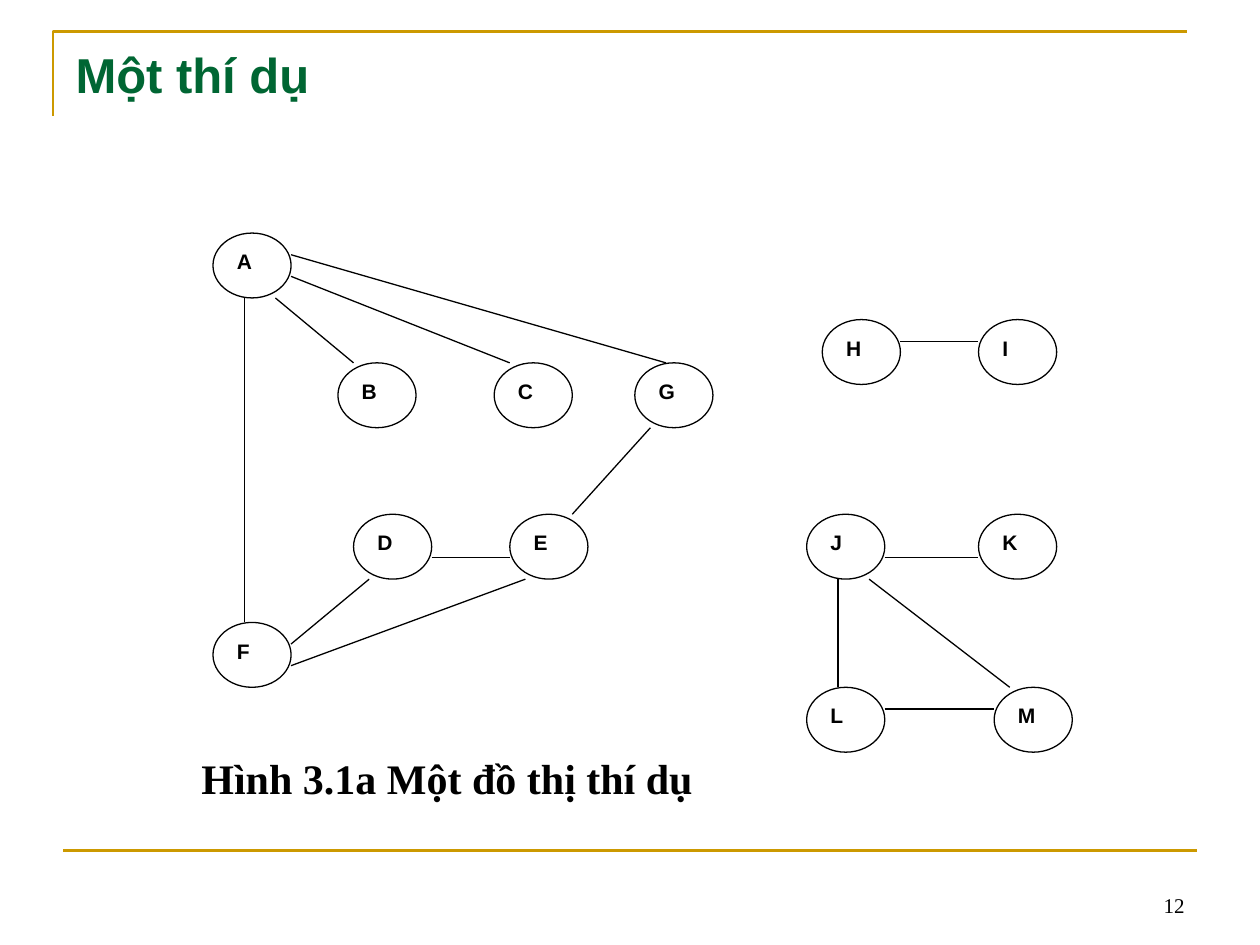
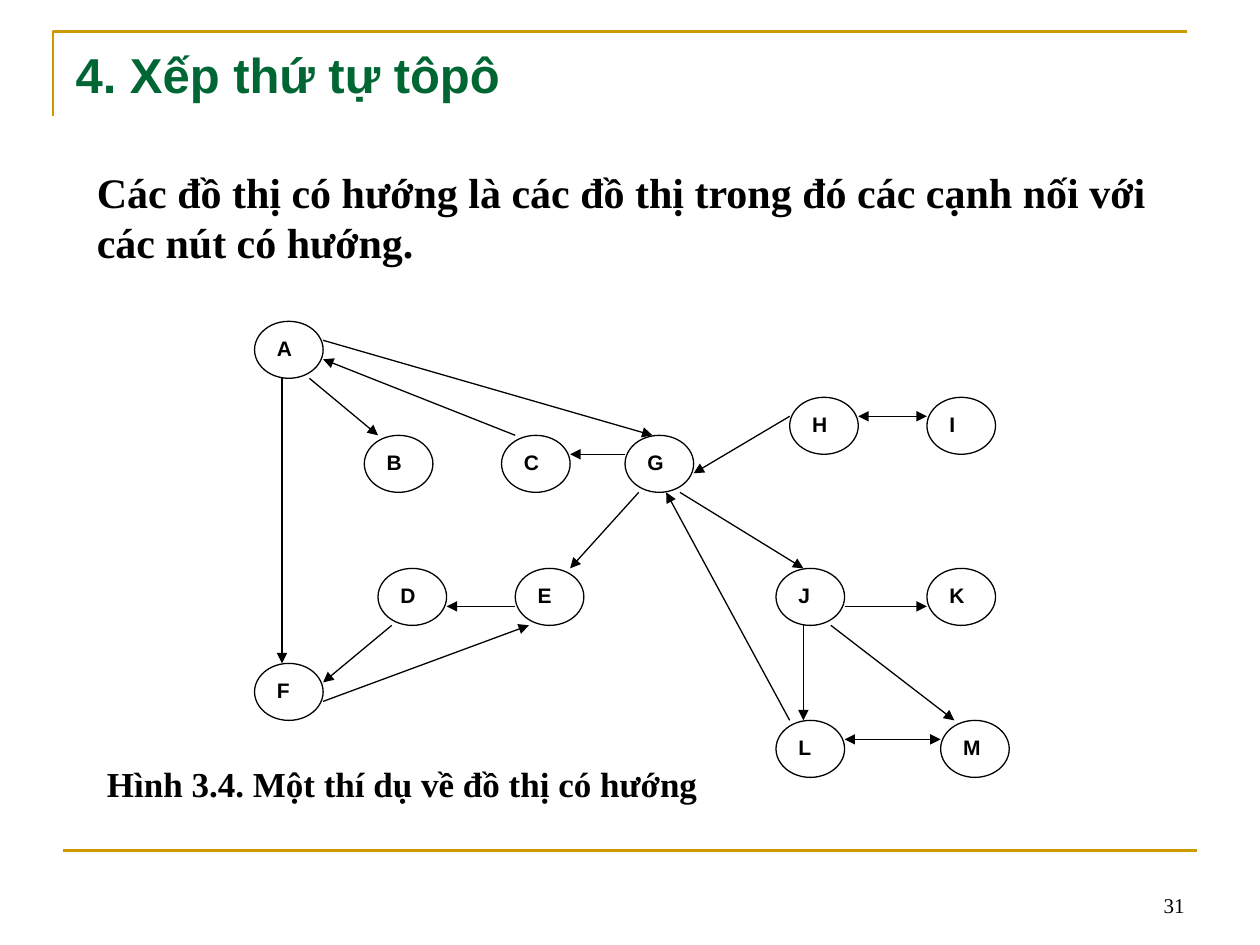
import pptx
import pptx.dml.color
import pptx.enum.shapes
import pptx.enum.text
import pptx.oxml
import pptx.oxml.ns
import pptx.util
from pptx.util import Inches

GOLD = pptx.dml.color.RGBColor(0xCC, 0x99, 0x00)
GREEN = pptx.dml.color.RGBColor(0x00, 0x66, 0x33)
BLACK = pptx.dml.color.RGBColor(0x00, 0x00, 0x00)
WHITE = pptx.dml.color.RGBColor(0xFF, 0xFF, 0xFF)
SANS = "Arial"
SERIF = "Times New Roman"

GRID_COLUMNS, GRID_ROWS = 55, 24
NODE_COLUMNS, NODE_ROWS = 5, 3
NODES = {
    "A": (0, 0), "B": (8, 6), "G": (27, 6), "C": (18, 6), "F": (0, 18),
    "D": (9, 13), "E": (19, 13), "L": (38, 21), "M": (50, 21),
    "K": (49, 13), "J": (38, 13), "I": (49, 4), "H": (39, 4),
}
EDGES = {
    "AF": ((2, 3), (2, 0)), "AB": ((4, 3), (1, 0)), "AC": ((5, 2), (1, 0)),
    "AG": ((5, 1), (2, 0)), "FD": ((5, 1), (1, 3)), "DE": ((5, 2), (0, 2)),
    "FE": ((5, 2), (1, 3)), "EG": ((4, 0), (1, 3)), "HI": ((5, 1), (0, 1)),
    "JK": ((5, 2), (0, 2)), "JL": ((2, 3), (2, 0)), "LM": ((5, 1), (0, 1)),
    "JM": ((4, 3), (1, 0)),
}
LINKING_EDGES = {
    "GC": ((0, 1), (5, 1)), "HG": ((0, 1), (5, 2)),
    "GJ": ((4, 3), (2, 0)), "LG": ((1, 0), (3, 3)),
}
DIRECTIONS = "AF AB CA AG DF ED FE GE HI IH JK JL LM ML JM GC HG GJ LG".split()


def format_text(text_frame, size, font, color, bold=True,
                alignment=pptx.enum.text.PP_ALIGN.LEFT):
    for paragraph in text_frame.paragraphs:
        paragraph.alignment = alignment
        for run in paragraph.runs:
            run.font.size = pptx.util.Pt(size)
            run.font.name = font
            run.font.bold = bold
            run.font.color.rgb = color


def add_text(slide, text, left, top, width, height, size, **options):
    box = slide.shapes.add_textbox(
        Inches(left), Inches(top), Inches(width), Inches(height))
    box.text_frame.word_wrap = True
    box.text_frame.text = text
    format_text(box.text_frame, size, SERIF, BLACK, **options)
    return box


def add_line(shapes, start, end, color, width, head=False, tail=False):
    connector = shapes.add_connector(
        pptx.enum.shapes.MSO_CONNECTOR.STRAIGHT,
        *(Inches(length) for length in start + end))
    connector.line.color.rgb = color
    connector.line.width = pptx.util.Pt(width)
    properties = connector.element.spPr
    outline = properties.find(pptx.oxml.ns.qn("a:ln"))
    for name, present in (("headEnd", head), ("tailEnd", tail)):
        if present:
            arrowhead = pptx.oxml.parse_xml(
                f'<a:{name} {pptx.oxml.ns.nsdecls("a")} type="triangle"/>')
            outline.append(arrowhead)
    properties.append(pptx.oxml.parse_xml(
        f'<a:effectLst {pptx.oxml.ns.nsdecls("a")}/>'))
    return connector


def add_node(shapes, label, left, top, width, height):
    node = shapes.add_shape(
        pptx.enum.shapes.MSO_SHAPE.OVAL,
        Inches(left), Inches(top), Inches(width), Inches(height))
    node.shadow.inherit = False
    node.fill.solid()
    node.fill.fore_color.rgb = WHITE
    node.line.color.rgb = BLACK
    node.line.width = pptx.util.Pt(0.75)
    node.text_frame.text = label
    node.text_frame.word_wrap = True
    node.text_frame.vertical_anchor = pptx.enum.text.MSO_ANCHOR.TOP
    format_text(node.text_frame, 12, SANS, BLACK)


def add_graph(slide, left, top, width, height, edges, directions=()):
    column, row = width / GRID_COLUMNS, height / GRID_ROWS

    def place(label, offset=(0, 0)):
        return (left + (NODES[label][0] + offset[0]) * column,
                top + (NODES[label][1] + offset[1]) * row)

    shapes = slide.shapes.add_group_shape().shapes
    for label in NODES:
        add_node(shapes, label, *place(label),
                 NODE_COLUMNS * column, NODE_ROWS * row)
    for edge, (start, end) in edges.items():
        add_line(shapes, place(edge[0], start), place(edge[1], end), BLACK, 0.75,
                 head=edge[::-1] in directions, tail=edge in directions)


def add_frame(layout, slide):
    builder = slide.shapes.build_freeform(Inches(0.42), Inches(0.92))
    builder.add_line_segments(
        [(Inches(0.42), Inches(0.25)), (Inches(9.42), Inches(0.25))], close=False)
    corner = builder.convert_to_shape()
    corner.shadow.inherit = False
    corner.fill.background()
    corner.line.color.rgb = GOLD
    corner.line.width = pptx.util.Pt(1.5)
    footer_line = add_line(slide.shapes, (0.5, 6.75), (9.5, 6.75), GOLD, 1.5)
    for shape in (corner, footer_line):
        layout.shapes.element.append(shape.element)


def add_slide(presentation, layout, title, number):
    slide = presentation.slides.add_slide(layout)
    heading = slide.shapes.title
    heading.left, heading.top = Inches(0.5), Inches(0.3)
    heading.width, heading.height = Inches(9), Inches(0.53)
    heading.text_frame.text = title
    heading.text_frame.auto_size = pptx.enum.text.MSO_AUTO_SIZE.NONE
    heading.text_frame.vertical_anchor = pptx.enum.text.MSO_ANCHOR.TOP
    format_text(heading.text_frame, 28, SANS, GREEN)
    page_number = add_text(slide, number, 7.17, 6.83, 2.33, 0.5, 12, bold=False,
                           alignment=pptx.enum.text.PP_ALIGN.RIGHT)
    page_number.text_frame.vertical_anchor = pptx.enum.text.MSO_ANCHOR.BOTTOM
    return slide


def main():
    presentation = pptx.Presentation()
    presentation.slide_width = Inches(10)
    presentation.slide_height = Inches(7.5)
    layout = presentation.slide_layouts.get_by_name("Title Only")

    example = add_slide(presentation, layout, "Một thí dụ", "12")
    add_frame(layout, example)
    add_graph(example, 1.69, 1.85, 6.82, 4.12, EDGES)
    add_text(example, "Hình 3.1a Một đồ thị thí dụ", 1.5, 5.92, 4.25, 0.5, 24)

    topology = add_slide(presentation, layout, "4. Xếp thứ tự tôpô", "31")
    add_text(topology, "Các đồ thị có hướng là các đồ thị trong đó các cạnh "
             "nối với các nút có hướng.", 0.67, 1.27, 8.58, 0.9, 24)
    add_graph(topology, 2.02, 2.55, 5.99, 3.62, EDGES | LINKING_EDGES, DIRECTIONS)
    add_text(topology, "Hình 3.4. Một thí dụ về đồ thị có hướng",
             0.75, 6, 5.17, 0.44, 20)

    presentation.save("out.pptx")


if __name__ == "__main__":
    main()
